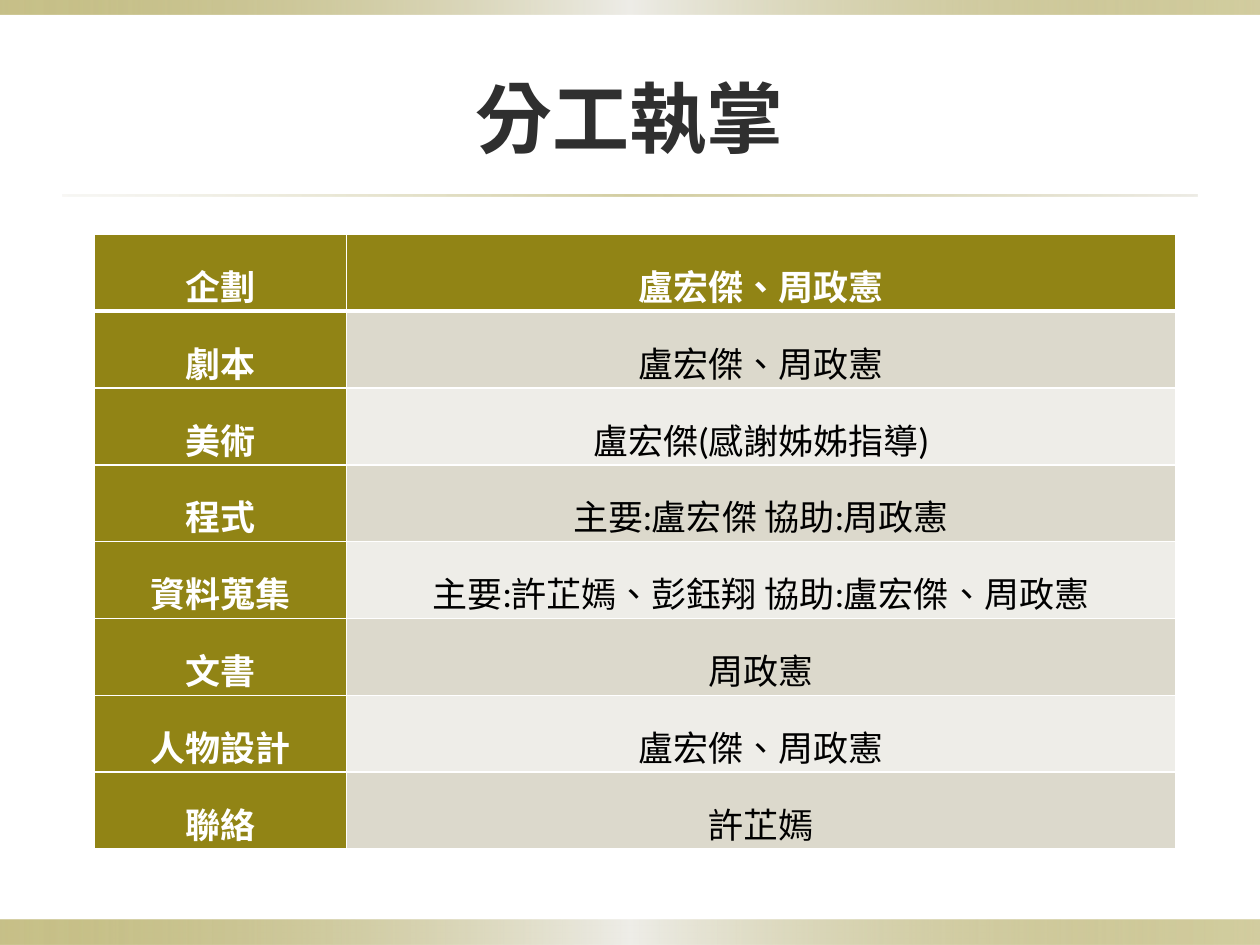
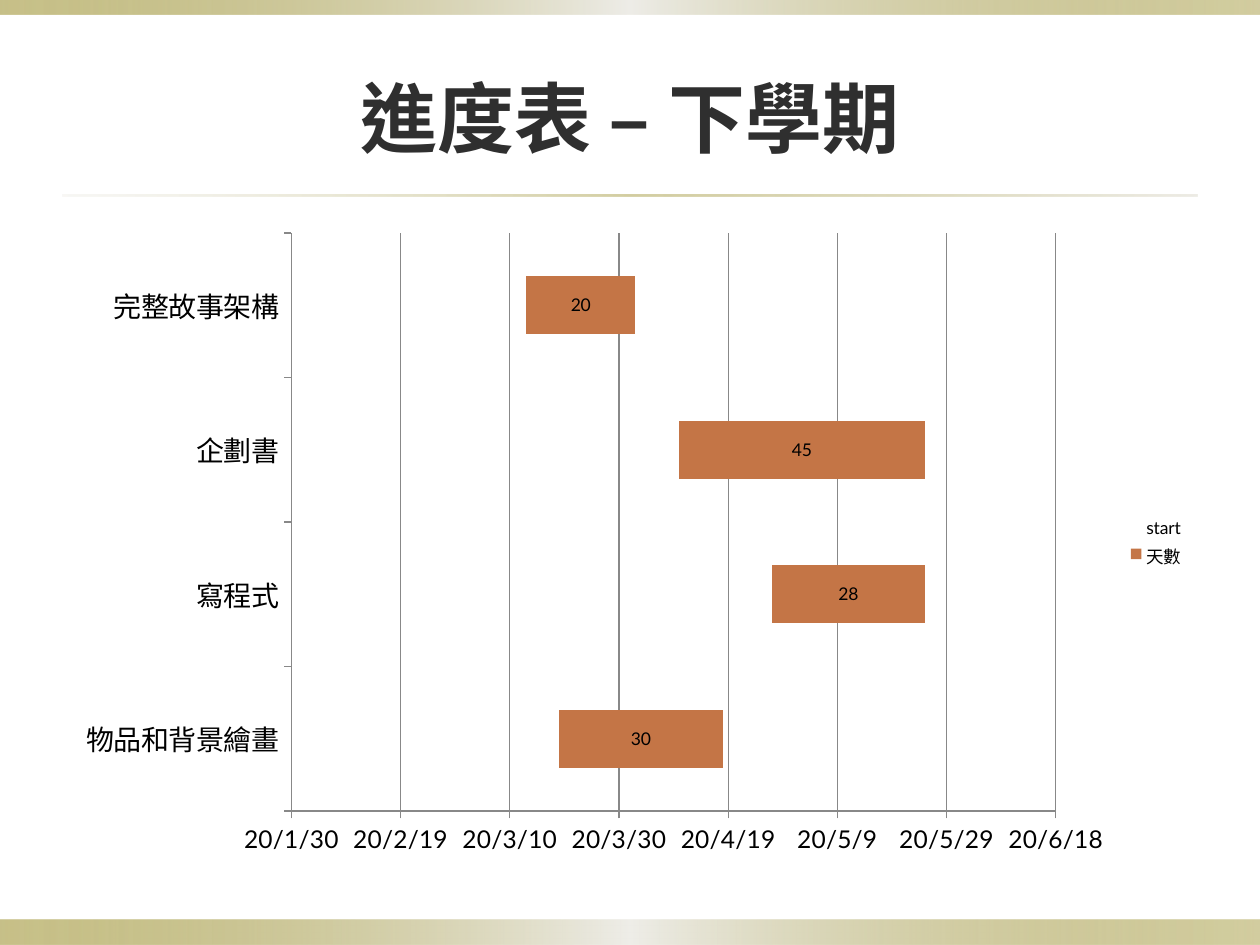
from pptx import Presentation
from pptx.chart.data import CategoryChartData
from pptx.dml.color import RGBColor
from pptx.enum.chart import XL_CHART_TYPE as ChartType, XL_LEGEND_POSITION as LegendSpot
from pptx.enum.chart import XL_TICK_MARK as TickMark
from pptx.enum.shapes import MSO_SHAPE as Preset
from pptx.enum.text import MSO_ANCHOR as Anchor, PP_ALIGN as Align
from pptx.oxml import parse_xml
from pptx.oxml.ns import nsdecls, qn
from pptx.util import Inches, Pt

FONT = "Lato"
LANGUAGE = "zh-TW"
COLUMNS, ROWS = 40, 30
COLORS = {
    "olive": "918415", "pale": "EEEDE8", "sand": "DCD9CC", "ink": "2F2F2F",
    "black": "000000", "white": "FFFFFF", "rust": "C47546", "grey": "888888",
}
BAND = [(0, "olive", 50), (50, "pale", 100), (100, "olive", 40)]
RULE = [(0, "sand", 20), (50, "olive", 40), (100, "sand", 50)]
ORNAMENTS = [
    ((0, 29.2, 40, 0.8), BAND),
    ((0, 0, 40, 0.46), BAND),
    ((2, 6.18, 36, 0.06), RULE),
]

DUTIES = [
    ("企劃", "盧宏傑、周政憲"),
    ("劇本", "盧宏傑、周政憲"),
    ("美術", "盧宏傑(感謝姊姊指導)"),
    ("程式", "主要:盧宏傑 協助:周政憲"),
    ("資料蒐集", "主要:許芷嫣、彭鈺翔 協助:盧宏傑、周政憲"),
    ("文書", "周政憲"),
    ("人物設計", "盧宏傑、周政憲"),
    ("聯絡", "許芷嫣"),
]
TASKS = [
    ("物品和背景繪畫", 43909, 30),
    ("寫程式", 43948, 28),
    ("企劃書", 43931, 45),
    ("完整故事架構", 43903, 20),
]


def color(name):
    return RGBColor.from_string(COLORS[name])


def apply(target, **formats):
    for name, value in formats.items():
        setattr(target, name, value)


def style_font(font, size, tint, bold=False):
    apply(font, name=FONT, size=Pt(size), bold=bold)
    font.color.rgb = color(tint)


def style_span(span, size, tint, bold=False):
    style_font(span.font, size, tint, bold)
    span._r.get_or_add_rPr().set("lang", LANGUAGE)


class Slides:
    def __init__(self):
        self.deck = Presentation()
        apply(self.deck, slide_width=Inches(10), slide_height=Inches(7.5))
        self.page = None

    def place(self, column, row, width, height):
        across = self.deck.slide_width / COLUMNS
        down = self.deck.slide_height / ROWS
        return [round(n) for n in (column * across, row * down, width * across, height * down)]

    def add_page(self, title):
        self.page = self.deck.slides.add_slide(self.deck.slide_layouts[5])
        for area, stops in ORNAMENTS:
            self.add_gradient(area, stops)
        box = self.page.shapes.title
        left, top, width, height = self.place(2, 1.2, 36, 5)
        apply(box, left=left, top=top, width=width, height=height)
        apply(box.text_frame, text=title, vertical_anchor=Anchor.MIDDLE, word_wrap=True)
        para = box.text_frame.paragraphs[0]
        para.alignment = Align.CENTER
        style_span(para.runs[0], 44, "ink", True)

    def add_gradient(self, area, stops):
        box = self.page.shapes.add_shape(Preset.RECTANGLE, *self.place(*area))
        box.shadow.inherit = False
        box.line.fill.background()
        box.fill.background()
        marks = "".join(
            f'<a:gs pos="{spot * 1000}"><a:srgbClr val="{COLORS[tint]}">'
            f'<a:alpha val="{alpha * 1000}"/></a:srgbClr></a:gs>'
            for spot, tint, alpha in stops
        )
        properties = box.element.spPr
        properties.replace(properties.find(qn("a:noFill")), parse_xml(
            f'<a:gradFill {nsdecls("a")} rotWithShape="1"><a:gsLst>{marks}</a:gsLst>'
            '<a:lin ang="0" scaled="0"/></a:gradFill>'
        ))

    def add_table(self, area, shares, rows):
        left, top, width, height = self.place(*area)
        table = self.page.shapes.add_table(
            len(rows), len(shares), left, top, width, height).table
        table.first_col = True
        for column, share in zip(table.columns, shares):
            column.width = round(width * share / sum(shares))
        for row, texts in enumerate(rows):
            for column, text in enumerate(texts):
                heading = row == 0 or column == 0
                fill = "olive" if heading else ("pale", "sand")[row % 2]
                self.format_cell(table.cell(row, column), text, fill, heading, row)

    def format_cell(self, cell, text, fill, heading, row):
        apply(cell, text=text, margin_left=Inches(0.07), margin_right=Inches(0.07),
              margin_top=0, margin_bottom=0)
        para = cell.text_frame.paragraphs[0]
        apply(para, alignment=Align.CENTER, line_spacing=1.5)
        style_span(para.runs[0], 20, "white" if heading else "black", heading)
        weights = {"L": 1, "R": 1, "T": 3 if row == 1 else 1, "B": 3 if row == 0 else 1}
        for side, weight in weights.items():
            cell._tc.get_or_add_tcPr().append(parse_xml(
                f'<a:ln{side} {nsdecls("a")} w="{Pt(weight)}"><a:solidFill>'
                f'<a:srgbClr val="{COLORS["white"]}"/></a:solidFill></a:ln{side}>'
            ))
        cell.fill.solid()
        cell.fill.fore_color.rgb = color(fill)

    def add_gantt(self, area, tasks):
        names, starts, days = zip(*tasks)
        data = CategoryChartData()
        data.categories = names
        data.add_series("start", starts)
        data.add_series("天數", days)
        chart = self.page.shapes.add_chart(
            ChartType.BAR_STACKED, *self.place(*area), data).chart
        apply(chart, has_title=False, has_legend=True)
        style_font(chart.font, 10, "black")
        apply(chart.legend, position=LegendSpot.RIGHT, include_in_layout=False)
        plot = chart.plots[0]
        apply(plot, gap_width=150, overlap=100, vary_by_categories=False)
        hidden, bars = plot.series
        hidden.format.fill.background()
        bars.format.fill.solid()
        bars.format.fill.fore_color.rgb = color("rust")
        bars.data_labels.show_value = True
        style_font(bars.data_labels.font, 10, "black")
        dates = chart.value_axis
        apply(dates, minimum_scale=43860, maximum_scale=44000, major_unit=20,
              has_major_gridlines=True)
        apply(dates.tick_labels, number_format="yy/m/d", number_format_is_linked=False)
        for axis, size in ((chart.category_axis, 16), (dates, 14)):
            apply(axis, major_tick_mark=TickMark.OUTSIDE, minor_tick_mark=TickMark.NONE)
            style_font(axis.tick_labels.font, size, "black")
        for line in (chart.category_axis.format.line, dates.format.line,
                     dates.major_gridlines.format.line):
            line.color.rgb = color("grey")
            line.width = Pt(0.75)
        self.set_plot_area(chart, x=20.15, y=1.95, w=67.4, h=89.6)

    def set_plot_area(self, chart, **percents):
        area = chart._chartSpace.chart.plotArea
        for layout in area.findall(qn("c:layout")):
            area.remove(layout)
        sizes = "".join(f'<c:{key} val="{share / 100:.4f}"/>' for key, share in percents.items())
        area.insert(0, parse_xml(
            f'<c:layout {nsdecls("c")}><c:manualLayout><c:layoutTarget val="inner"/>'
            f'<c:xMode val="edge"/><c:yMode val="edge"/>{sizes}</c:manualLayout></c:layout>'
        ))


def main():
    slides = Slides()
    slides.add_page("分工執掌")
    slides.add_table((3, 7.44, 34.32, 19.52), (2, 6.58), DUTIES)
    slides.add_page("進度表 – 下學期")
    slides.add_gantt((2, 7, 36, 20.48), TASKS)
    slides.deck.save("out.pptx")


if __name__ == "__main__":
    main()
